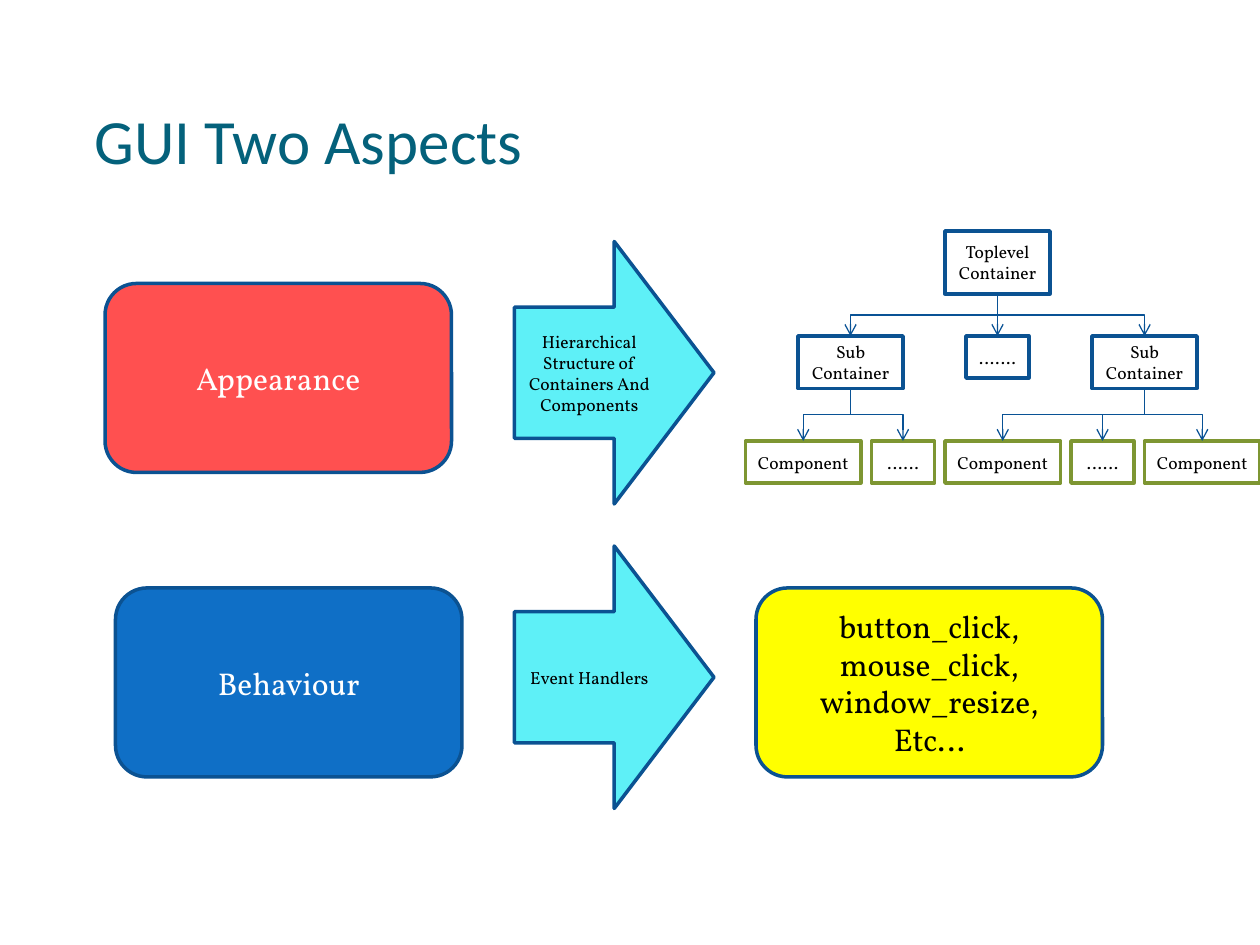
from dataclasses import dataclass

from pptx import Presentation, util as u
from pptx.dml.color import RGBColor
from pptx.enum import shapes, text
from pptx.oxml.ns import qn
from lxml import etree

CELL = u.Inches(1) // 12  # twelve grid cells to the inch
COLS, ROWS = 120, 90
KIND = shapes.MSO_SHAPE


@dataclass(frozen=True)
class Theme:
    head: str = "Calibri"
    body: str = "Vollkorn"
    title: str = "04617B"
    white: str = "FFFFFF"
    black: str = "000000"
    edge: str = "0B5292"
    link: str = "095295"
    leaf: str = "7E9632"
    red: str = "FF5050"
    blue: str = "0F6FC6"
    cyan: str = "5EF0F7"
    yellow: str = "FFFF00"
    huge: int = 36
    large: int = 18
    small: int = 10
    thick: float = 2
    thin: float = 0.75


T = Theme()


@dataclass(frozen=True)
class Box:
    """A labelled shape; place and size are in grid cells."""
    label: str
    col: float
    row: float
    wide: float
    high: float
    kind: KIND = KIND.RECTANGLE
    fill: str | None = None
    edge: str = T.edge
    ink: str = T.black
    size: int = T.small


def panel(label: str, col: int, row: int, fill: str, ink: str) -> Box:
    return Box(label, col, row, 33, 18, KIND.ROUNDED_RECTANGLE, fill,
               ink=ink, size=T.large)


def arrow(label: str, row: int) -> Box:
    return Box(label, 49, row, 19, 25, KIND.RIGHT_ARROW, T.cyan)


def leaves(col: int, row: int) -> list[Box]:
    """Bottom row of the tree: full and elided boxes in turn, one cell apart."""
    row_of = []
    for i in range(5):
        label, wide = (("……", 6) if i % 2 else ("Component", 11))
        row_of.append(Box(label, col, row, wide, 4, edge=T.leaf))
        col += wide + 1
    return row_of


def rgb(code: str) -> RGBColor:
    return RGBColor.from_string(code)


def write(frame, label: str, font: str, size: int, ink: str, align) -> None:
    frame.word_wrap = True
    for i, part in enumerate(label.split("\n")):
        para = frame.paragraphs[0] if i == 0 else frame.add_paragraph()
        para.alignment = align
        run = para.add_run()
        run.text = part
        run.font.name = font
        run.font.size = u.Pt(size)
        run.font.color.rgb = rgb(ink)


def draw(slide, box: Box):
    shape = slide.shapes.add_shape(
        box.kind, *(round(n * CELL) for n in (box.col, box.row, box.wide, box.high)))
    shape.shadow.inherit = False
    if box.fill:
        shape.fill.solid()
        shape.fill.fore_color.rgb = rgb(box.fill)
    else:
        shape.fill.background()
    shape.line.color.rgb = rgb(box.edge)
    shape.line.width = u.Pt(T.thick)
    shape.text_frame.vertical_anchor = text.MSO_ANCHOR.MIDDLE
    write(shape.text_frame, box.label, T.body, box.size, box.ink,
          text.PP_ALIGN.CENTER)
    return shape


def join(slide, top, low) -> None:
    """Link the foot of one box to the head of another, bending halfway."""
    x1, y1 = top.left + top.width // 2, top.top + top.height
    x2, y2 = low.left + low.width // 2, low.top
    bent = abs(x2 - x1) > CELL // 10
    kind = shapes.MSO_CONNECTOR.ELBOW if bent else shapes.MSO_CONNECTOR.STRAIGHT
    link = slide.shapes.add_connector(kind, x1, y1, x2, y2)
    link.begin_connect(top, 2)
    link.end_connect(low, 0)
    props = link.element.spPr
    if bent:  # an elbow leaves sideways, so turn it to leave downwards
        link.width, link.height = y2 - y1, abs(x2 - x1)
        link.left = (x1 + x2 - link.width) // 2
        link.top = (y1 + y2 - link.height) // 2
        right = x2 > x1
        form = props.find(qn("a:xfrm"))
        form.set("rot", str((270 if right else 90) * 60000))
        form.set("flipH", "1" if right else "0")
        form.set("flipV", "0")
    link.line.color.rgb = rgb(T.link)
    link.line.width = u.Pt(T.thin)
    etree.SubElement(props.find(qn("a:ln")), qn("a:tailEnd"), type="arrow")
    etree.SubElement(props, qn("a:effectLst"))


def head(slide, label: str) -> None:
    area = slide.shapes.add_textbox(
        *(round(n * CELL) for n in (9, 10.2, 105, 6.7)))
    frame = area.text_frame
    frame.margin_left = frame.margin_right = frame.margin_bottom = 0
    frame.vertical_anchor = text.MSO_ANCHOR.BOTTOM
    write(frame, label, T.head, T.huge, T.title, text.PP_ALIGN.LEFT)


def tree(slide) -> None:
    root = draw(slide, Box("Toplevel Container", 90, 22, 10, 6))
    left, mid, right = [draw(slide, box) for box in (
        Box("Sub Container", 76, 32, 10, 5),
        Box("…….", 92, 32, 6, 4),
        Box("Sub Container", 104, 32, 10, 5))]
    ends = [draw(slide, box) for box in leaves(71, 42)]
    for top, lows in ((root, (left, mid, right)), (left, ends[:2]),
                      (right, ends[2:])):
        for low in lows:
            join(slide, top, low)


def main() -> None:
    deck = Presentation()
    deck.slide_width, deck.slide_height = COLS * CELL, ROWS * CELL
    slide = deck.slides.add_slide(deck.slide_layouts[6])
    head(slide, "GUI Two Aspects")
    tree(slide)
    events = "button_click,\nmouse_click,\nwindow_resize,\nEtc…"
    for box in (
            panel("Appearance", 10, 27, T.red, T.white),
            arrow("Hierarchical Structure of Containers And Components", 23),
            panel("Behaviour", 11, 56, T.blue, T.white),
            arrow("Event Handlers", 52),
            panel(events, 72, 56, T.yellow, T.black)):
        draw(slide, box)
    deck.save("out.pptx")


if __name__ == "__main__":
    main()
